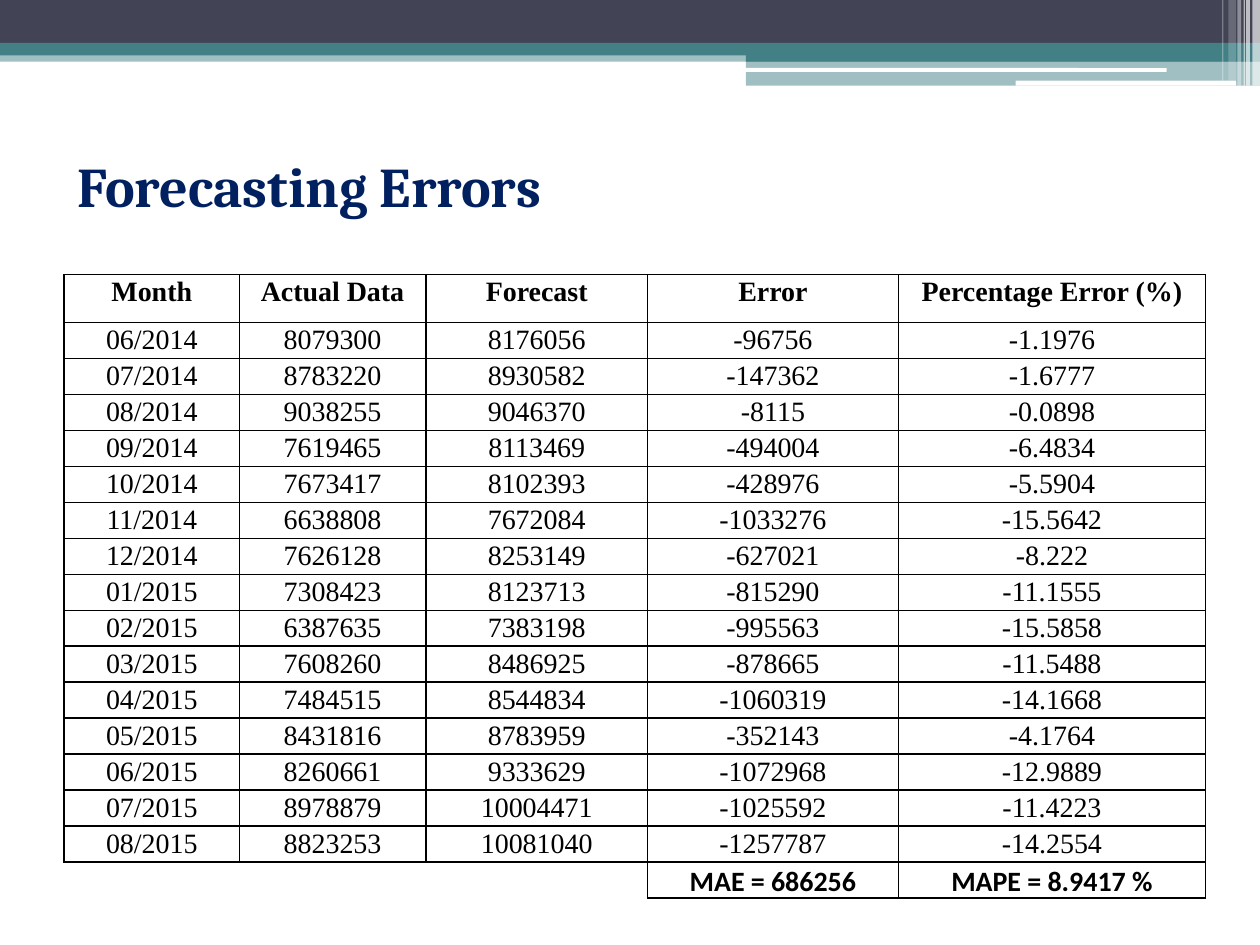
from lxml.etree import SubElement
from pptx import Presentation
from pptx.dml.color import RGBColor
from pptx.enum.shapes import MSO_SHAPE as SHAPE
from pptx.enum.text import MSO_AUTO_SIZE as AUTO, PP_ALIGN as ALIGN
from pptx.oxml import parse_xml
from pptx.oxml.ns import nsdecls, qn
from pptx.util import Inches, Pt

NAVY, TEAL, SLATE, WHITE, BLACK = "002060", "438086", "424456", "FFFFFF", "000000"

BANDS = [
    (0, 0.4, 10, 0.09, TEAL, 50),
    (0, 0, 10, 0.34, SLATE, 100),
    (0, 0.34, 10, 0.1, TEAL, 100),
    (5.92, 0.39, 4.08, 0.1, TEAL, 100),
    (5.92, 0.48, 4.08, 0.2, TEAL, 50),
]
PILLS = [(5.91, 0.54, 3.35, 0.03), (8.06, 0.64, 1.75, 0.04)]
STRIPES = [
    (9.94, 0.06, 0.68, 65),
    (9.89, 0.03, 0.68, 65),
    (9.87, 0.01, 0.68, 60),
    (9.82, 0.03, 0.68, 40),
    (9.75, 0.06, 0.64, 20),
    (9.7, 0.01, 0.64, 30),
]

COLUMNS = [1.39, 1.48, 1.76, 1.99, 2.44]
HEADER_HEIGHT = 0.38
ROWS = [
    ("Month", "Actual Data", "Forecast", "Error", "Percentage Error (%)"),
    ("06/2014", "8079300", "8176056", "-96756", "-1.1976"),
    ("07/2014", "8783220", "8930582", "-147362", "-1.6777"),
    ("08/2014", "9038255", "9046370", "-8115", "-0.0898"),
    ("09/2014", "7619465", "8113469", "-494004", "-6.4834"),
    ("10/2014", "7673417", "8102393", "-428976", "-5.5904"),
    ("11/2014", "6638808", "7672084", "-1033276", "-15.5642"),
    ("12/2014", "7626128", "8253149", "-627021", "-8.222"),
    ("01/2015", "7308423", "8123713", "-815290", "-11.1555"),
    ("02/2015", "6387635", "7383198", "-995563", "-15.5858"),
    ("03/2015", "7608260", "8486925", "-878665", "-11.5488"),
    ("04/2015", "7484515", "8544834", "-1060319", "-14.1668"),
    ("05/2015", "8431816", "8783959", "-352143", "-4.1764"),
    ("06/2015", "8260661", "9333629", "-1072968", "-12.9889"),
    ("07/2015", "8978879", "10004471", "-1025592", "-11.4223"),
    ("08/2015", "8823253", "10081040", "-1257787", "-14.2554"),
    ("", "", "", "MAE = 686256", "MAPE = 8.9417 %"),
]
HEADER = {"name": "Times New Roman", "size": Pt(16), "bold": True}
BODY = {**HEADER, "bold": False}
SUMMARY = {**HEADER, "name": "Calibri"}
TITLE = {"name": "Cambria", "size": Pt(32), "bold": True}
MARGINS = {"margin_left": Inches(0.07), "margin_right": Inches(0.07),
           "margin_top": 0, "margin_bottom": 0}


def rgb(color):
    """Turn a hex string into a colour."""
    return RGBColor.from_string(color)


def set_attrs(target, values):
    """Set attributes of an object from a dict."""
    for name, value in values.items():
        setattr(target, name, value)


def add_text(p, text, style, color):
    """Add one formatted run to a paragraph."""
    r = p.add_run()
    r.text = text
    set_attrs(r.font, style)
    r.font.color.rgb = rgb(color)


def add_bar(s, box, color, alpha=100, kind=SHAPE.RECTANGLE):
    """Add a plain filled bar with the given opacity in percent."""
    sp = s.shapes.add_shape(kind, *map(Inches, box))
    sp.shadow.inherit = False
    sp.line.fill.background()
    sp.fill.solid()
    sp.fill.fore_color.rgb = rgb(color)
    if alpha < 100:
        fill = sp.fill._xPr.find(qn("a:solidFill"))
        SubElement(fill[0], qn("a:alpha"), val=str(alpha * 1000))


def add_banner(s, left, top):
    """Add the decorated band, with its corner at the given point."""
    for x, y, width, height, color, alpha in BANDS:
        add_bar(s, (left + x, top + y, width, height), color, alpha)
    for x, y, width, height in PILLS:
        add_bar(s, (left + x, top + y, width, height), WHITE, kind=SHAPE.ROUNDED_RECTANGLE)
    for x, width, height, alpha in STRIPES:
        add_bar(s, (left + x, top, width, height), WHITE, alpha)


def add_title(s, box):
    """Add the slide title."""
    tf = s.shapes.add_textbox(*map(Inches, box)).text_frame
    set_attrs(tf, {"word_wrap": False, "auto_size": AUTO.SHAPE_TO_FIT_TEXT})
    add_text(tf.paragraphs[0], "Forecasting Errors", TITLE, NAVY)


def set_borders(cell, sides):
    """Draw the named sides of a cell in black and clear the others."""
    tc_pr = cell._tc.get_or_add_tcPr()
    for i, side in enumerate("LRTB"):
        paint = f'<a:solidFill><a:srgbClr val="{BLACK}"/></a:solidFill>'
        if side not in sides:
            paint = "<a:noFill/>"
        line = f'<a:ln{side} {nsdecls("a")} w="{Pt(1)}">{paint}</a:ln{side}>'
        tc_pr.insert(i, parse_xml(line))


def fill_cell(cell, text, style, sides):
    """Format one table cell and write its text."""
    set_attrs(cell, MARGINS)
    cell.fill.background()
    set_borders(cell, sides)
    p = cell.text_frame.paragraphs[0]
    set_attrs(p, {"alignment": ALIGN.CENTER, "line_spacing": 1.07})
    if text:
        add_text(p, text, style, BLACK)
    else:
        SubElement(p._p, qn("a:endParaRPr"), sz="1600")


def add_error_table(s, box):
    """Add the table of forecasting errors."""
    table = s.shapes.add_table(len(ROWS), len(COLUMNS), *map(Inches, box)).table
    set_attrs(table, {"first_row": False, "horz_banding": False})
    for column, width in zip(table.columns, COLUMNS):
        column.width = Inches(width)
    last = len(ROWS) - 1
    row_height = (box[3] - HEADER_HEIGHT) / last
    for i, values in enumerate(ROWS):
        table.rows[i].height = Inches(row_height if i else HEADER_HEIGHT)
        style = {0: HEADER, last: SUMMARY}.get(i, BODY)
        for j, text in enumerate(values):
            beside_text = j + 1 < len(values) and values[j + 1]
            sides = "LRTB" if text else "RT" if beside_text else "T"
            fill_cell(table.cell(i, j), text, style, sides)


def main():
    """Build and save the slide."""
    prs = Presentation()
    set_attrs(prs, {"slide_width": Inches(10), "slide_height": Inches(7.5)})
    s = prs.slides.add_slide(prs.slide_layouts[6])
    add_banner(s, 0, 0)
    add_title(s, (0.52, 1.15, 4.69, 0.64))
    add_error_table(s, (0.51, 2.18, 9.06, 4.94))
    prs.save("out.pptx")


if __name__ == "__main__":
    main()
